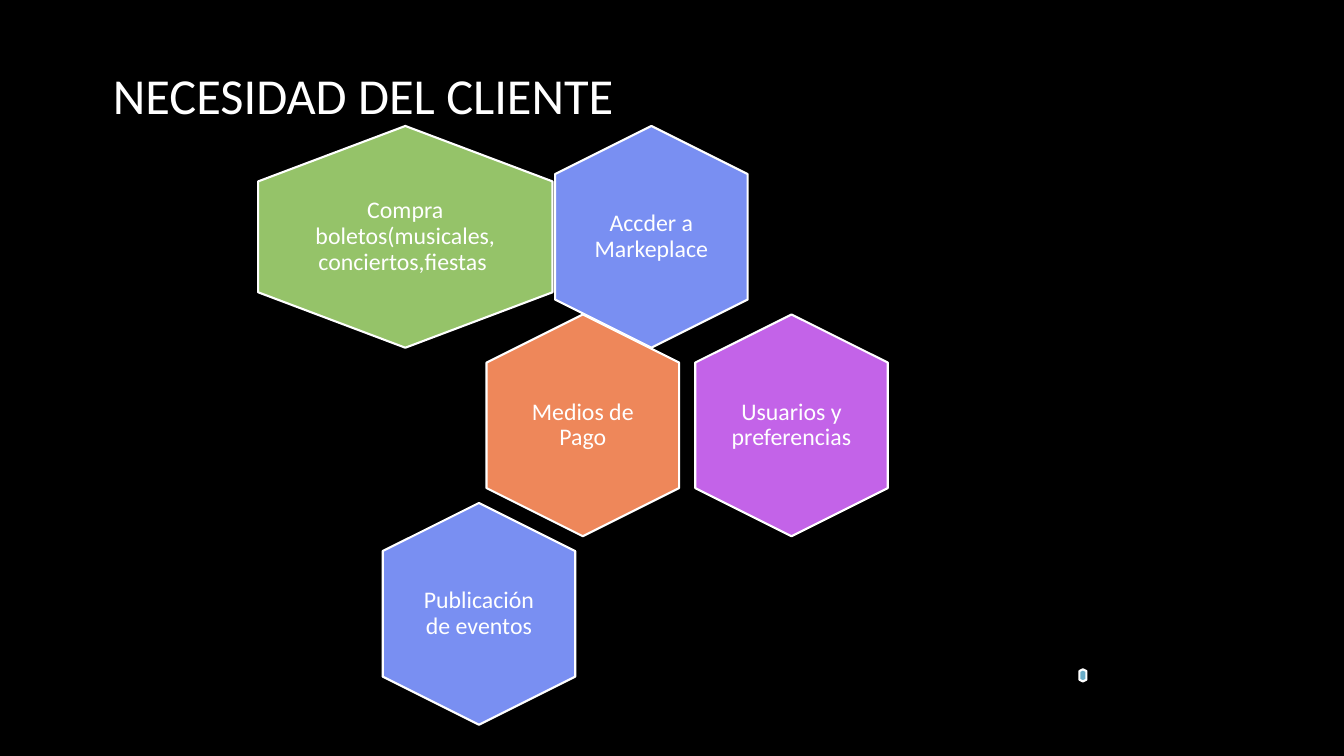
from pptx import Presentation
from pptx import util as u
from pptx.dml.color import RGBColor
from pptx.enum import shapes, text

PX = 9144  # EMU per px, 100 px to the inch
BLACK = RGBColor(0x00, 0x00, 0x00)
WHITE = RGBColor(0xFF, 0xFF, 0xFF)
BLUE = RGBColor(0x79, 0x8F, 0xF2)
GREEN = RGBColor(0x95, 0xC3, 0x69)
ORANGE = RGBColor(0xEE, 0x87, 0x5A)
PURPLE = RGBColor(0xC3, 0x63, 0xE8)
TEAL = RGBColor(0x6A, 0xAD, 0xC8)


def box(center_x, center_y, width, height):
    """Left, top, width and height in EMU of a box around a centre."""
    return (round((center_x - width / 2) * PX), round((center_y - height / 2) * PX),
            width * PX, height * PX)


def style(paragraph, size, alignment):
    paragraph.alignment = alignment
    paragraph.line_spacing = 0.9
    paragraph.font.name = "Calibri"
    paragraph.font.size = u.Pt(size)
    paragraph.font.color.rgb = WHITE


presentation = Presentation()
presentation.slide_width = 1333 * PX
presentation.slide_height = 750 * PX
slide = presentation.slides.add_slide(presentation.slide_layouts[5])
slide.background.fill.solid()
slide.background.fill.fore_color.rgb = BLACK

# Title
title = slide.shapes.title
title.left, title.top, title.width, title.height = 102 * PX, 18 * PX, 672 * PX, 159 * PX
title.text_frame.text = "NECESIDAD DEL CLIENTE"
title.text_frame.vertical_anchor = text.MSO_ANCHOR.MIDDLE
style(title.text_frame.paragraphs[0], 36, text.PP_ALIGN.LEFT)

# Honeycomb: hexagons stand on a point, odd rows shift by half a pitch
PITCH = 207
ROW_STEP = 187
TOP_ROW = 235
MIDDLE = 578
TALL, WIDE = 220, 191
needs = [  # label, colour, centre x, centre y, width, height, label width
    ("Accder a Markeplace", BLUE, 646, TOP_ROW, WIDE, TALL, 132),
    ("Compra boletos(musicales, conciertos,fiestas ", GREEN, 402, TOP_ROW, 292, TALL, 194),
    ("Medios de Pago", ORANGE, MIDDLE, TOP_ROW + ROW_STEP, WIDE, TALL, 132),
    ("Usuarios y preferencias", PURPLE, MIDDLE + PITCH, TOP_ROW + ROW_STEP, WIDE, TALL, 132),
    ("", TEAL, 1074, 670, 7, 12, 0),
    ("Publicación de eventos", BLUE, MIDDLE - PITCH // 2, TOP_ROW + 2 * ROW_STEP, WIDE, TALL, 132),
]
for label, colour, center_x, center_y, width, height, label_width in needs:
    # The turn by 90 degrees swaps width and height
    hexagon = slide.shapes.add_shape(
        shapes.MSO_SHAPE.HEXAGON, *box(center_x, center_y, height, width))
    hexagon.rotation = 90
    hexagon.adjustments[0] = 0.25
    hexagon.shadow.inherit = False
    hexagon.fill.solid()
    hexagon.fill.fore_color.rgb = colour
    hexagon.line.color.rgb = WHITE
    hexagon.line.width = u.Pt(1.5)
    if not label:
        continue

    # Upright label over the turned hexagon
    frame = slide.shapes.add_textbox(*box(center_x, center_y, label_width, 150)).text_frame
    frame.word_wrap = True
    frame.vertical_anchor = text.MSO_ANCHOR.MIDDLE
    frame.margin_left = frame.margin_right = frame.margin_top = frame.margin_bottom = 0
    frame.text = label
    style(frame.paragraphs[0], 17, text.PP_ALIGN.CENTER)

presentation.save("out.pptx")
